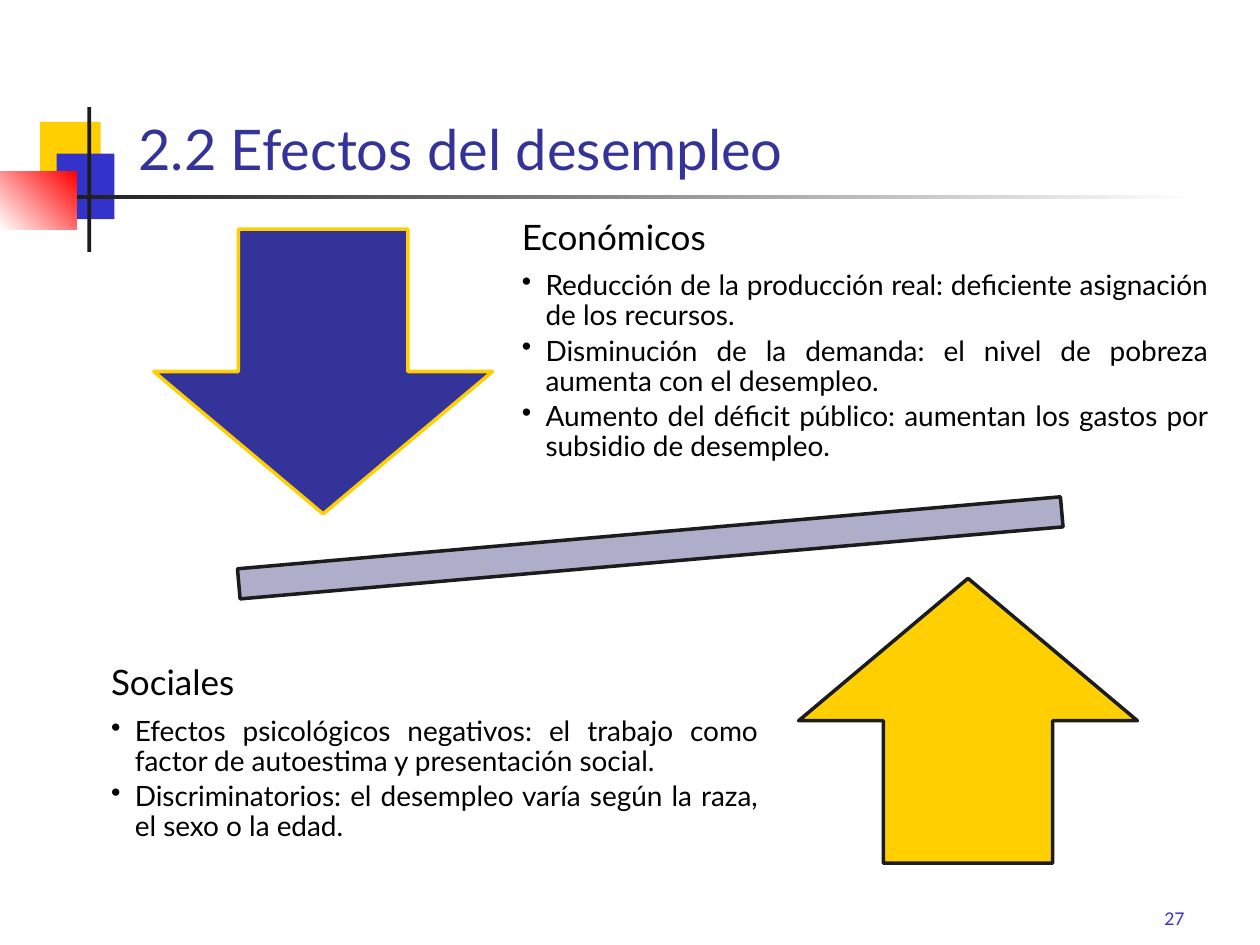
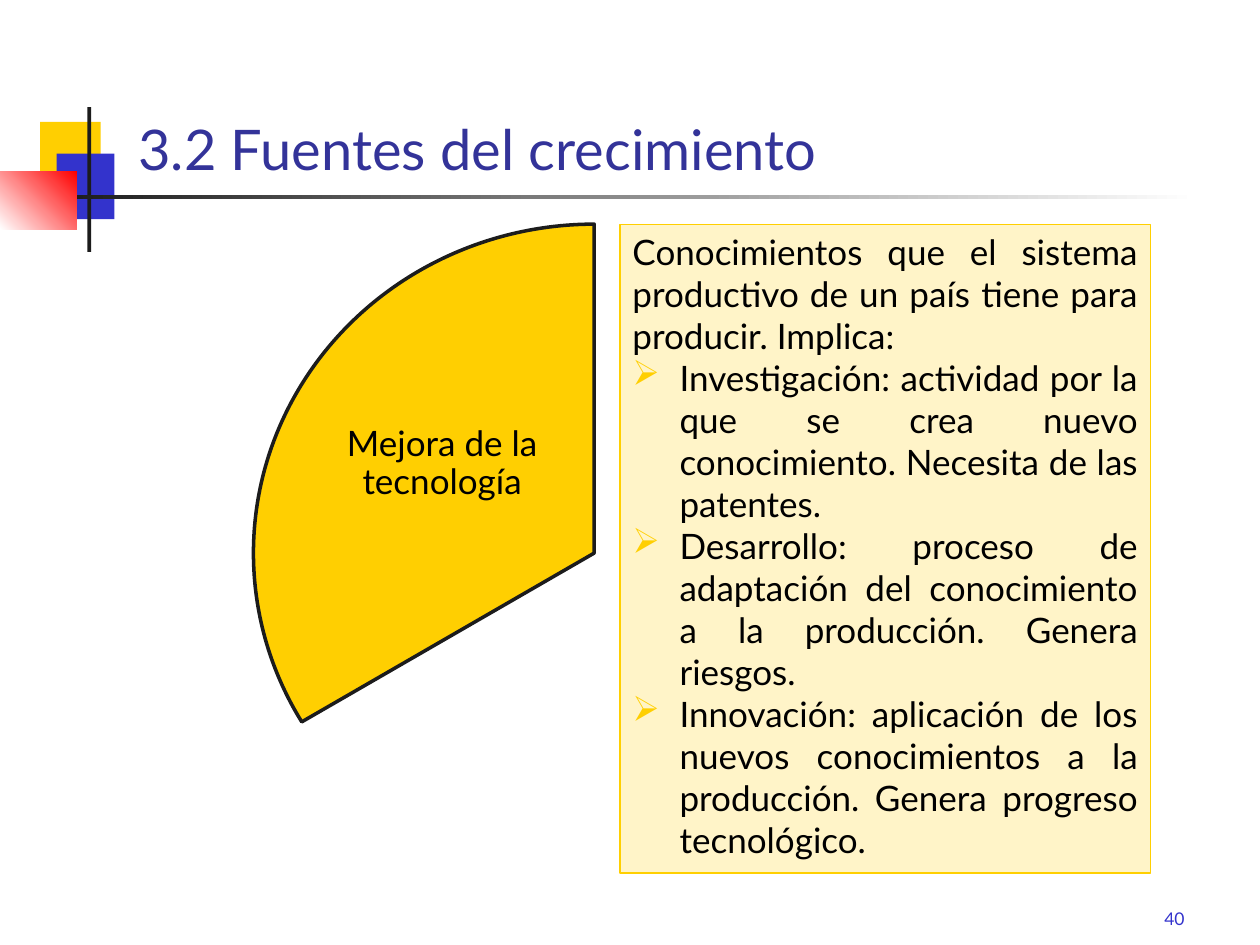
from lxml import etree
from pptx import Presentation
from pptx import util as u
from pptx.dml.color import RGBColor
from pptx.enum import shapes, text
from pptx.oxml.ns import qn

FONT = "Lato"
COLORS = {
    "yellow": "FFCF01",
    "cream": "FFF4C8",
    "blue": "3333CC",
    "navy": "333399",
    "lavender": "AEAECA",
    "ink": "1C1C1C",
    "red": "FF0000",
    "white": "FFFFFF",
    "black": "000000",
}
KIND = shapes.MSO_SHAPE
ALIGN = text.PP_ALIGN
ANCHOR = text.MSO_ANCHOR
ARROW_SIZE = (6.83, 5.74)


def rgb(name):
    return RGBColor.from_string(COLORS[name])


def add_figure(slide, kind, box, fill, line=None, width=2):
    """Draw a preset shape; box is left, top, width, height in cm.

    A pair of colour names as fill gives a gradient.
    """
    figure = slide.shapes.add_shape(kind, *map(u.Cm, box))
    figure.shadow.inherit = False
    if isinstance(fill, tuple):
        figure.fill.gradient()
        for stop, name in zip(figure.fill.gradient_stops, fill):
            stop.color.rgb = rgb(name)
    else:
        figure.fill.solid()
        figure.fill.fore_color.rgb = rgb(fill)
    if line:
        figure.line.color.rgb = rgb(line)
        figure.line.width = u.Pt(width)
    else:
        figure.line.fill.background()
    return figure


def set_frame(frame, anchor, inset=None):
    frame.word_wrap = True
    frame.vertical_anchor = anchor
    if inset is not None:
        frame.margin_left = frame.margin_right = u.Cm(inset)
        frame.margin_top = frame.margin_bottom = u.Cm(inset)


def add_frame(slide, box, anchor, inset=None):
    frame = slide.shapes.add_textbox(*map(u.Cm, box)).text_frame
    set_frame(frame, anchor, inset)
    return frame


def set_bullet(paragraph, char, indent, color=None):
    """Give the paragraph a hanging bullet, indent in cm."""
    props = paragraph._p.get_or_add_pPr()
    props.set("marL", str(u.Cm(indent)))
    props.set("indent", str(-u.Cm(indent)))
    if color:
        bullet_color = etree.SubElement(props, qn("a:buClr"))
        etree.SubElement(bullet_color, qn("a:srgbClr"), val=COLORS[color])
    etree.SubElement(props, qn("a:buChar"), char=char)


def write(frame, words, size, color="black", align=ALIGN.LEFT,
          spacing=None, after=0, bullet=None):
    """Add one paragraph, filling the empty first one of the frame."""
    first = frame.paragraphs[0]
    paragraph = frame.add_paragraph() if first.runs else first
    if bullet:
        set_bullet(paragraph, *bullet)
    paragraph.alignment = align
    paragraph.space_after = u.Pt(after)
    if spacing:
        paragraph.line_spacing = spacing
    run = paragraph.add_run()
    run.text = words
    run.font.name = FONT
    run.font.size = u.Pt(size)
    run.font.color.rgb = rgb(color)


def add_emblem(slide):
    """Draw the coloured squares and the crossing rules beside the title."""
    add_figure(slide, KIND.RECTANGLE, (0.81, 2.46, 1.22, 1.32), "yellow")
    add_figure(slide, KIND.RECTANGLE, (1.14, 3.1, 1.17, 1.32), "blue")
    add_figure(slide, KIND.RECTANGLE, (1.76, 2.16, 0.08, 2.92), "ink")
    title_rule = add_figure(slide, KIND.RECTANGLE, (1.27, 3.94, 22.86, 0.08),
                            ("ink", "white"))
    title_rule.fill.gradient_angle = 0
    red_square = add_figure(slide, KIND.RECTANGLE, (0, 3.45, 1.55, 1.17),
                            ("white", "red"))
    red_square.fill.gradient_angle = 45


def start_slide(deck, title, number):
    slide = deck.slides.add_slide(deck.slide_layouts[6])
    add_emblem(slide)
    number_frame = add_frame(slide, (18.85, 17.58, 5.28, 1.27), ANCHOR.BOTTOM)
    write(number_frame, str(number), 10, "blue", ALIGN.RIGHT)
    title_frame = add_frame(slide, (2.54, 0.84, 21.59, 2.97), ANCHOR.BOTTOM)
    write(title_frame, title, 32, "navy", spacing=0.9)
    return slide


def add_effects(slide, box, heading, effects):
    frame = add_frame(slide, box, ANCHOR.MIDDLE, 0.41)
    write(frame, heading, 20, align=ALIGN.JUSTIFY, spacing=0.9, after=8)
    for effect in effects:
        write(frame, effect, 16, align=ALIGN.JUSTIFY, spacing=0.9, after=2.8,
              bullet=("•", 0.48))


def add_definition(slide, box, intro, activities):
    panel = add_figure(slide, KIND.RECTANGLE, box, "cream", "yellow", 0.75)
    frame = panel.text_frame
    set_frame(frame, ANCHOR.TOP)
    write(frame, intro, 20, align=ALIGN.JUSTIFY)
    for activity in activities:
        write(frame, activity, 20, align=ALIGN.JUSTIFY,
              bullet=("➢", 0.95, "yellow"))


def build_unemployment(deck):
    slide = start_slide(deck, "2.2 Efectos del desempleo", 27)
    seesaw = add_figure(slide, KIND.MATH_MINUS, (1.78, 9.75, 22.66, 2.59),
                        "lavender", "ink")
    seesaw.rotation = 355
    add_figure(slide, KIND.DOWN_ARROW, (3.1, 4.62, *ARROW_SIZE),
               "navy", "yellow")
    add_effects(slide, (10.11, 3.25, 14.66, 7.26), "Económicos", [
        "Reducción de la producción real: deficiente asignación de los "
        "recursos.",
        "Disminución de la demanda: el nivel de pobreza aumenta con el "
        "desempleo.",
        "Aumento del déficit público: aumentan los gastos por subsidio de "
        "desempleo.",
    ])
    add_figure(slide, KIND.UP_ARROW, (16.1, 11.66, *ARROW_SIZE),
               "yellow", "ink")
    add_effects(slide, (1.83, 12.19, 13.87, 6.02), "Sociales", [
        "Efectos psicológicos negativos: el trabajo como factor de "
        "autoestima y presentación social.",
        "Discriminatorios: el desempleo varía según la raza, el sexo o la "
        "edad.",
    ])


def build_growth(deck):
    slide = start_slide(deck, "3.2 Fuentes del crecimiento", 40)
    technology = add_figure(slide, KIND.PIE, (5.11, 4.52, 13.74, 13.26),
                            "yellow", "ink")
    technology.adjustments[0] = 90
    technology.adjustments[1] = 162
    label = add_frame(slide, (6.58, 7.14, 4.67, 4.42), ANCHOR.MIDDLE, 0.08)
    write(label, "Mejora de la tecnología", 20, align=ALIGN.CENTER,
          spacing=0.9, after=8)
    add_definition(
        slide, (12.5, 4.52, 10.69, 13.08),
        "Conocimientos que el sistema productivo de un país tiene para "
        "producir. Implica:",
        [
            "Investigación: actividad por la que se crea nuevo conocimiento. "
            "Necesita de las patentes.",
            "Desarrollo: proceso de adaptación del conocimiento a la "
            "producción. Genera riesgos.",
            "Innovación: aplicación de los nuevos conocimientos a la "
            "producción. Genera progreso tecnológico.",
        ])


def main():
    deck = Presentation()
    deck.slide_width, deck.slide_height = u.Cm(25.4), u.Cm(19.05)
    build_unemployment(deck)
    build_growth(deck)
    deck.save("out.pptx")


if __name__ == "__main__":
    main()
